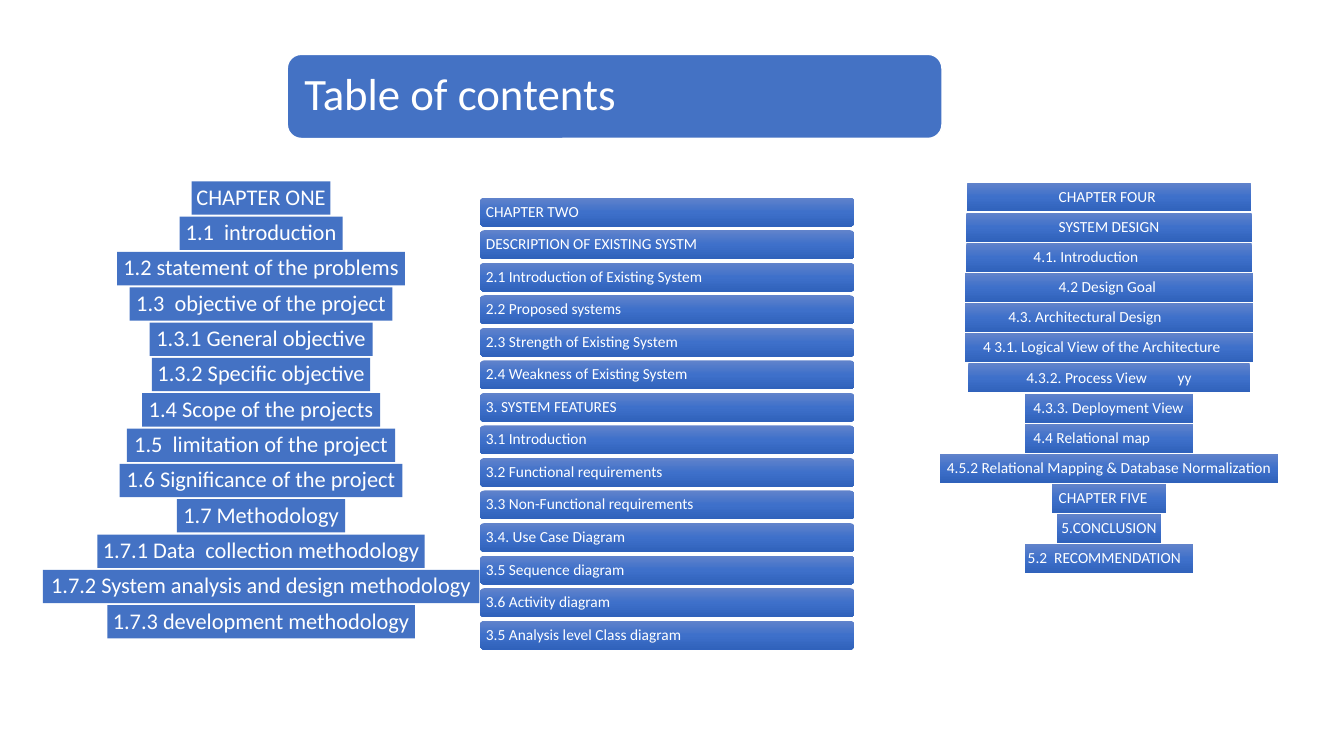
from copy import deepcopy

from pptx import Presentation
from pptx.dml.color import RGBColor
from pptx.enum.shapes import MSO_SHAPE
from pptx.enum.text import MSO_ANCHOR, PP_ALIGN
from pptx.oxml.ns import qn
from pptx.util import Cm, Pt

WHITE = RGBColor(0xFF, 0xFF, 0xFF)
BLUE = RGBColor(0x44, 0x72, 0xC4)
GRADIENT = [
    (0, RGBColor(0x61, 0x83, 0xCB)),
    (0.5, RGBColor(0x3E, 0x70, 0xCA)),
    (1, RGBColor(0x30, 0x62, 0xBB)),
]

chapter_one = [
    ("CHAPTER ONE", 3.5),
    ("1.1  introduction", 4.11),
    ("1.2 statement of the problems", 7.25),
    ("1.3  objective of the project", 6.62),
    ("1.3.1 General objective", 5.62),
    ("1.3.2 Specific objective", 5.5),
    ("1.4 Scope of the projects", 6.0),
    ("1.5  limitation of the project", 6.76),
    ("1.6 Significance of the project", 7.13),
    ("1.7 Methodology", 4.24),
    ("1.7.1 Data  collection methodology", 8.25),
    ("1.7.2 System analysis and design methodology", 11.0),
    ("1.7.3 development methodology", 7.75),
]
chapters_two_and_three = [
    "CHAPTER TWO",
    "DESCRIPTION OF EXISTING SYSTM",
    "2.1 Introduction of Existing System",
    "2.2 Proposed systems",
    "2.3 Strength of Existing System",
    "2.4 Weakness of Existing System",
    "3. SYSTEM FEATURES",
    "3.1 Introduction",
    "3.2 Functional requirements",
    "3.3 Non-Functional requirements",
    "3.4. Use Case Diagram",
    "3.5 Sequence diagram",
    "3.6 Activity diagram",
    "3.5 Analysis level Class diagram",
]
# The tabs shift the centred entries to the left
chapters_four_and_five = [
    ("CHAPTER FOUR\t", 7.14),
    ("SYSTEM DESIGN\t", 7.19),
    ("4.1. Introduction\t", 7.19),
    ("4.2 Design Goal\t", 7.26),
    ("4.3. Architectural Design\t", 7.26),
    ("4 3.1. Logical View of the Architecture\t", 7.26),
    ("4.3.2. Process View\tyy", 7.09),
    ("4.3.3. Deployment View\t", 4.24),
    ("4.4 Relational map\t", 4.24),
    ("4.5.2 Relational Mapping & Database Normalization", 8.51),
    ("CHAPTER FIVE\t", 2.87),
    ("5.CONCLUSION", 2.62),
    ("5.2  RECOMMENDATION\t", 4.24),
]

presentation = Presentation()
presentation.slide_width = Cm(33.87)
presentation.slide_height = Cm(19.05)
slide = presentation.slides.add_slide(presentation.slide_layouts[6])


def add_entry(text, preset, left, top, width, height, size, margin, align):
    entry = slide.shapes.add_shape(preset, Cm(left), Cm(top), Cm(width), Cm(height))
    entry.shadow.inherit = False
    entry.fill.solid()
    entry.fill.fore_color.rgb = BLUE
    entry.line.fill.background()
    frame = entry.text_frame
    frame.word_wrap = True
    frame.vertical_anchor = MSO_ANCHOR.MIDDLE
    frame.margin_left = frame.margin_right = Cm(margin)
    frame.margin_top = frame.margin_bottom = Cm(margin)
    paragraph = frame.paragraphs[0]
    paragraph.text = text
    paragraph.alignment = align
    paragraph.line_spacing = 0.9
    paragraph.font.name = "Calibri"
    paragraph.font.size = Pt(size)
    paragraph.font.color.rgb = WHITE
    return entry


def shade(entry):
    """Fill an entry with the three-stop gradient, running top to bottom."""
    entry.fill.gradient()
    entry.fill.gradient_angle = 270
    stop_list = entry.fill._xPr.find(qn("a:gradFill")).find(qn("a:gsLst"))
    stop_list.append(deepcopy(stop_list[0]))
    for stop, (position, color) in zip(entry.fill.gradient_stops, GRADIENT):
        stop.position = position
        stop.color.rgb = color


title = add_entry("Table of contents", MSO_SHAPE.ROUNDED_RECTANGLE,
                  7.24, 1.37, 16.5, 2.12, 32, 0.33, PP_ALIGN.LEFT)
title.line.color.rgb = WHITE
title.line.width = Pt(1)

for row, (text, width) in enumerate(chapter_one):
    add_entry(text, MSO_SHAPE.RECTANGLE, 6.58 - width / 2, 4.57 + row * 0.89,
              width, 0.84, 16, 0.1, PP_ALIGN.CENTER)

for row, text in enumerate(chapters_two_and_three):
    shade(add_entry(text, MSO_SHAPE.ROUNDED_RECTANGLE, 12.09, 4.98 + row * 0.82,
                    9.45, 0.73, 11, 0.12, PP_ALIGN.LEFT))

for row, (text, width) in enumerate(chapters_four_and_five):
    shade(add_entry(text, MSO_SHAPE.RECTANGLE, 27.95 - width / 2, 4.6 + row * 0.76,
                    width, 0.73, 11, 0.07, PP_ALIGN.CENTER))

presentation.save("out.pptx")
